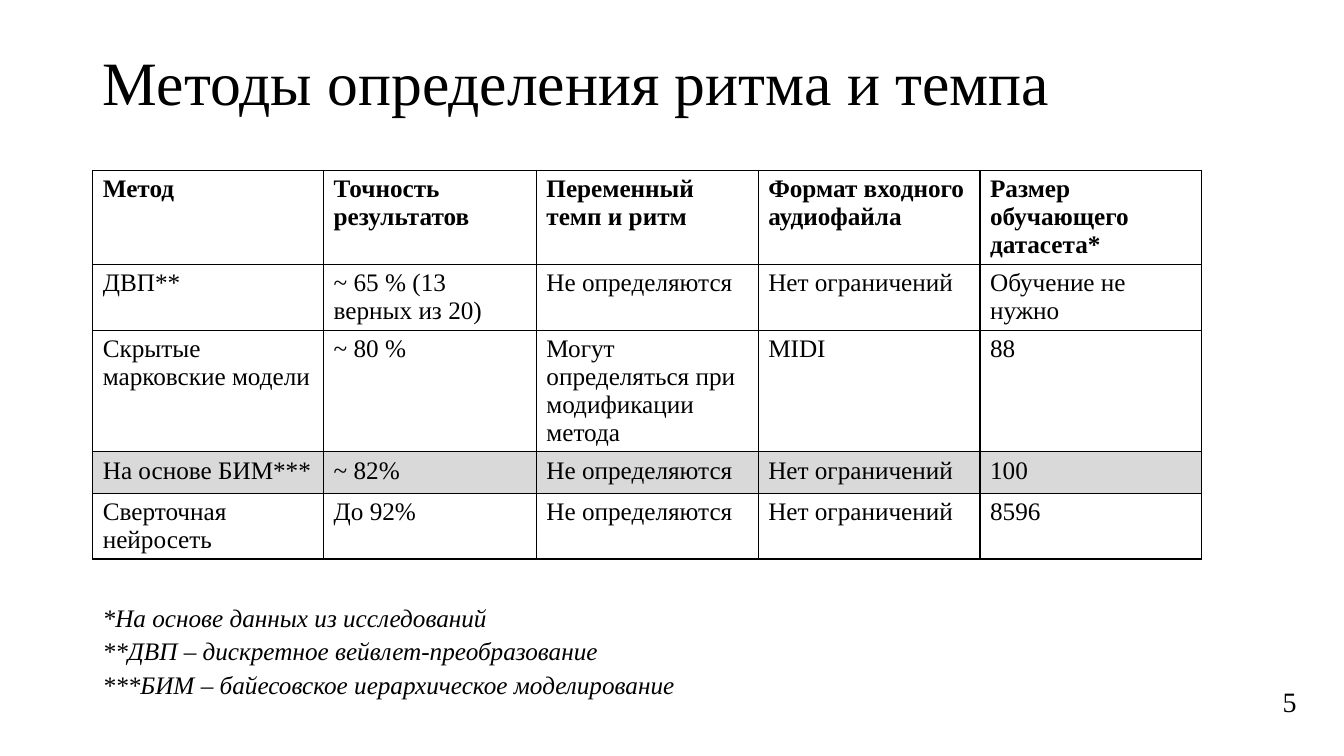
from dataclasses import dataclass

from lxml import etree
from pptx import Presentation
from pptx.dml.color import RGBColor
from pptx.enum.text import MSO_ANCHOR, MSO_AUTO_SIZE, PP_ALIGN
from pptx.oxml.ns import qn
from pptx.util import Emu, Pt

EMU_PER_PX = 9144
TITLE_ONLY = 5
MIDDLE = MSO_ANCHOR.MIDDLE
FIT_SHAPE = MSO_AUTO_SIZE.SHAPE_TO_FIT_TEXT
NO_FIT = MSO_AUTO_SIZE.NONE
LEFT, RIGHT = PP_ALIGN.LEFT, PP_ALIGN.RIGHT


@dataclass(frozen=True)
class Theme:
    font: str = "Times New Roman"
    ink: str = "000000"
    highlight: str = "D9D9D9"
    title_size: int = 44
    body_size: int = 18
    number_size: int = 20
    note_spacing: int = 24
    border_width: int = 1


THEME = Theme()

TITLE = "Методы определения ритма и темпа"
COLUMN_WIDTHS = [229, 211, 220, 220, 220]
ROW_HEIGHT = 41
HIGHLIGHTED_ROW = 3
METHODS = [
    ["Метод", "Точность результатов", "Переменный темп и ритм",
     "Формат входного аудиофайла", "Размер обучающего датасета*"],
    ["ДВП**", "~ 65 % (13 верных из 20)", "Не определяются",
     "Нет ограничений", "Обучение не нужно"],
    ["Скрытые марковские модели", "~ 80 %",
     "Могут определяться при модификации метода", "MIDI", "88"],
    ["На основе БИМ***", "~ 82%", "Не определяются", "Нет ограничений", "100"],
    ["Сверточная нейросеть", "До 92%", "Не определяются",
     "Нет ограничений", "8596"],
]
FOOTNOTES = [
    "*На основе данных из исследований",
    "**ДВП – дискретное вейвлет-преобразование",
    "***БИМ – байесовское иерархическое моделирование",
]


def px(length):
    return Emu(length * EMU_PER_PX)


def format_text(frame, size, bold=False, italic=False, align=LEFT, spacing=None):
    for paragraph in frame.paragraphs:
        paragraph.alignment = align
        paragraph.line_spacing = spacing
        for run in paragraph.runs:
            run.font.name = THEME.font
            run.font.size = Pt(size)
            run.font.bold = bold
            run.font.italic = italic
            run.font.color.rgb = RGBColor.from_string(THEME.ink)


def add_title(slide):
    title = slide.shapes.title
    title.left, title.top = px(92), px(34)
    title.width, title.height = px(1150), px(102)
    frame = title.text_frame
    frame.text = TITLE
    frame.vertical_anchor = MIDDLE
    frame.word_wrap = True
    frame.auto_size = NO_FIT
    format_text(frame, THEME.title_size, spacing=0.9)


def add_text(slide, box, text, fit):
    frame = slide.shapes.add_textbox(*map(px, box)).text_frame
    frame.word_wrap = True
    frame.auto_size = fit
    frame.text = text
    return frame


def set_borders(cell):
    """Put the four side lines ahead of the fill, as the schema requires."""
    properties = cell._tc.get_or_add_tcPr()
    for position, side in enumerate(("lnL", "lnR", "lnT", "lnB")):
        line = etree.Element(qn(f"a:{side}"), w=str(Pt(THEME.border_width)))
        fill = etree.SubElement(line, qn("a:solidFill"))
        etree.SubElement(fill, qn("a:srgbClr"), val=THEME.ink)
        properties.insert(position, line)


def add_methods_table(slide):
    table = slide.shapes.add_table(
        len(METHODS), len(COLUMN_WIDTHS), px(92), px(169),
        px(sum(COLUMN_WIDTHS)), px(ROW_HEIGHT * len(METHODS))).table
    table.first_row = True
    table.horz_banding = False
    for column, width in zip(table.columns, COLUMN_WIDTHS):
        column.width = px(width)
    for row_index, values in enumerate(METHODS):
        table.rows[row_index].height = px(ROW_HEIGHT)
        for cell, value in zip(table.rows[row_index].cells, values):
            cell.text_frame.text = value
            format_text(cell.text_frame, THEME.body_size, bold=row_index == 0)
            if row_index == HIGHLIGHTED_ROW:
                cell.fill.solid()
                cell.fill.fore_color.rgb = RGBColor.from_string(THEME.highlight)
            else:
                cell.fill.background()
            set_borders(cell)


def add_footnotes(slide):
    notes = add_text(slide, (92, 589, 1071, 109), "\n".join(FOOTNOTES), FIT_SHAPE)
    format_text(notes, THEME.body_size, italic=True, spacing=Pt(THEME.note_spacing))


def add_page_number(slide):
    number = add_text(slide, (996, 676, 300, 40), "5", NO_FIT)
    number.vertical_anchor = MIDDLE
    format_text(number, THEME.number_size, align=RIGHT)


def main():
    deck = Presentation()
    deck.slide_width, deck.slide_height = px(1333), px(750)
    slide = deck.slides.add_slide(deck.slide_layouts[TITLE_ONLY])
    add_title(slide)
    add_methods_table(slide)
    add_footnotes(slide)
    add_page_number(slide)
    deck.save("out.pptx")


if __name__ == "__main__":
    main()
